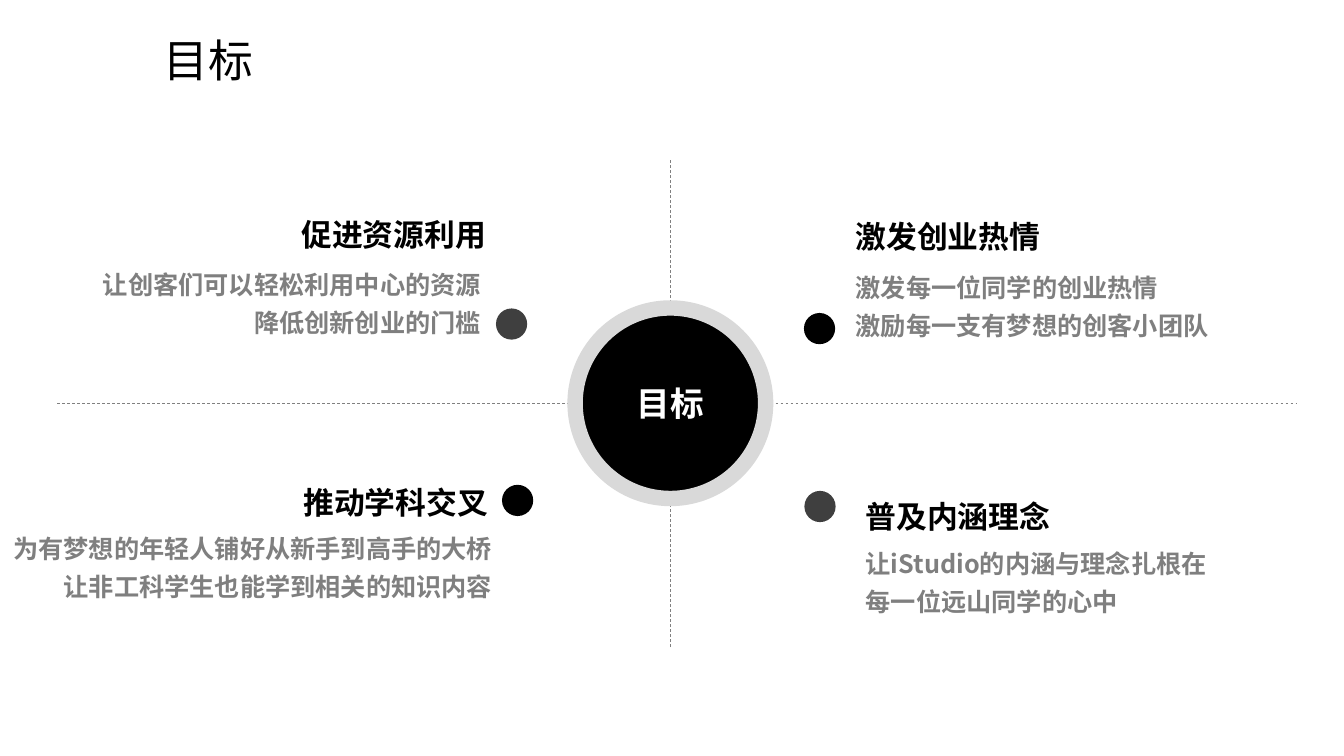
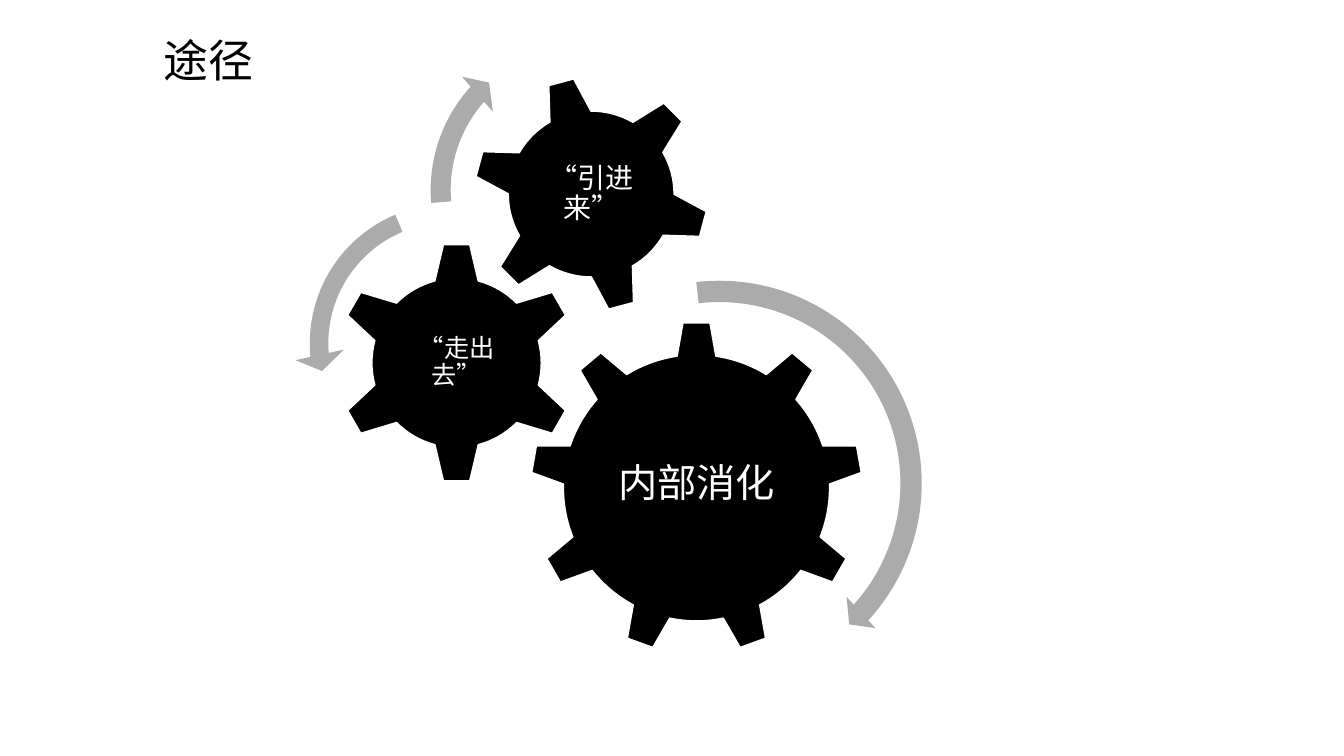
"""Build two slides: a goal map in four quadrants and a set of turning gears."""
from lxml import etree
from pptx import Presentation
from pptx import util as u
from pptx.dml.color import RGBColor
from pptx.enum import dml, lang, shapes, text
from pptx.oxml import ns

BLACK = RGBColor(0x00, 0x00, 0x00)
CHARCOAL = RGBColor(0x3F, 0x3F, 0x3F)
BODY_GREY = RGBColor(0x7F, 0x7F, 0x7F)
LINE_GREY = RGBColor(0x80, 0x80, 0x80)
ARROW_GREY = RGBColor(0xAB, 0xAB, 0xAB)
RING_GREY = RGBColor(0xD9, 0xD9, 0xD9)
WHITE = RGBColor(0xFF, 0xFF, 0xFF)
FONT = "Noto Sans CJK SC"
SHAPE = shapes.MSO_SHAPE
LEFT, CENTER, RIGHT = text.PP_ALIGN.LEFT, text.PP_ALIGN.CENTER, text.PP_ALIGN.RIGHT
TOP, MIDDLE = text.MSO_ANCHOR.TOP, text.MSO_ANCHOR.MIDDLE


def cells(*counts):
    """Turn counts of grid cells, ten to the inch, into lengths."""
    return [u.Inches(count / 10) for count in counts]


class Deck:
    """Hold the shared style and the slide being built."""

    def __init__(self):
        """Start a wide presentation."""
        self.prs = Presentation()
        self.prs.slide_width, self.prs.slide_height = cells(133.33, 75)
        self.slide = None

    def new_slide(self, title):
        """Add a slide with its title."""
        self.slide = self.prs.slides.add_slide(self.prs.slide_layouts[5])
        heading = self.slide.shapes.title
        heading.left, heading.top, heading.width, heading.height = cells(15.2, 2.7, 77.8, 6.4)
        self.fill_text(heading.text_frame, [title], 32, BLACK, anchor=MIDDLE)

    def fill_text(self, frame, lines, size, color, bold=False, align=LEFT,
                  anchor=TOP, spacing=None, wrap=True):
        """Fill a text frame with equally styled paragraphs."""
        frame.text = "\n".join(lines)
        frame.word_wrap = wrap
        frame.auto_size = text.MSO_AUTO_SIZE.NONE
        frame.vertical_anchor = anchor
        for paragraph in frame.paragraphs:
            paragraph.alignment = align
            paragraph.line_spacing = spacing
            font = paragraph.font
            font.size, font.bold, font.name = u.Pt(size), bold, FONT
            font.color.rgb = color
            font.language_id = lang.MSO_LANGUAGE_ID.SIMPLIFIED_CHINESE
            defaults = paragraph._p.pPr.find(ns.qn("a:defRPr"))
            etree.SubElement(defaults, ns.qn("a:ea"), typeface=FONT)

    def label(self, box, lines, size, color, inset=None, **style):
        """Add a text box."""
        frame = self.slide.shapes.add_textbox(*cells(*box)).text_frame
        if inset is not None:
            frame.margin_left = frame.margin_right = u.Inches(inset)
            frame.margin_top = frame.margin_bottom = u.Inches(inset)
        self.fill_text(frame, lines, size, color, **style)

    def round_shape(self, kind, x, y, size, fill, outline=None, weight=0):
        """Add a square-framed shape around a centre."""
        shape = self.slide.shapes.add_shape(
            kind, *cells(x - size / 2, y - size / 2, size, size))
        shape.shadow.inherit = False
        shape.fill.solid()
        shape.fill.fore_color.rgb = fill
        if outline is None:
            shape.line.fill.background()
        else:
            shape.line.color.rgb = outline
            shape.line.width = u.Pt(weight)
        return shape

    def dashed_line(self, *ends):
        """Add a thin dashed line."""
        line = self.slide.shapes.add_connector(shapes.MSO_CONNECTOR.STRAIGHT, *cells(*ends))
        line.line.color.rgb = LINE_GREY
        line.line.width = u.Pt(0.5)
        line.line.dash_style = dml.MSO_LINE.DASH
        etree.SubElement(line._element.spPr, ns.qn("a:effectLst"))

    def quadrant(self, heading_box, heading, body_box, body, align, dot, color):
        """Add a heading, its explanation and its dot."""
        style = dict(bold=True, align=align, spacing=1.25)
        self.label((*heading_box, 5.2), [heading], 22, BLACK, **style)
        self.label((*body_box, 8.2), body, 18, BODY_GREY, **style)
        self.round_shape(SHAPE.OVAL, *dot, 3.1, color)

    def gear(self, kind, x, y, size, turn, caption, points, caption_y, caption_size):
        """Add a gear with an upright caption."""
        wheel = self.round_shape(kind, x, y, size, BLACK, WHITE, 1)
        wheel.rotation = turn
        box = (x - caption_size / 2, caption_y - caption_size / 2, caption_size, caption_size)
        self.label(box, [caption], points, WHITE, inset=0.03,
                   align=CENTER, anchor=MIDDLE, spacing=0.9)

    def turning_arrow(self, kind, x, y, size, adjustments):
        """Add a curved arrow showing a direction of turn."""
        arrow = self.round_shape(kind, x, y, size, ARROW_GREY)
        for index, value in enumerate(adjustments):
            arrow.adjustments[index] = value


def goals(deck):
    """Draw the goal map."""
    deck.new_slide("目标")
    x, y, radius = 66.5, 40, 9.45
    for ends in ((x + radius, y, 128.6, y), (5.7, y, x - radius, y),
                 (x, y - radius, x, 15.8), (x, 64.2, x, y + radius)):
        deck.dashed_line(*ends)
    hub = deck.round_shape(SHAPE.OVAL, x, y, 2 * radius, BLACK, RING_GREY, 11)
    deck.fill_text(hub.text_frame, ["目标"], 24, WHITE, bold=True, align=CENTER,
                   anchor=MIDDLE, wrap=False)
    quadrants = (
        ((23.6, 20, 25.6), "促进资源利用", (0, 25.5, 48.7),
         ["让创客们可以轻松利用中心的资源", "降低创新创业的门槛"],
         RIGHT, (50.75, 32.15), CHARCOAL),
        ((83.9, 20.2, 25.6), "激发创业热情", (83.9, 25.8, 45),
         ["激发每一位同学的创业热情", "激励每一支有梦想的创客小团队"],
         LEFT, (81.3, 32.6), BLACK),
        ((23.8, 46.6, 25.6), "推动学科交叉", (0, 51.7, 49.8),
         ["为有梦想的年轻人铺好从新手到高手的大桥", "让非工科学生也能学到相关的知识内容"],
         RIGHT, (51.35, 49.65), BLACK),
        ((84.9, 48, 25.6), "普及内涵理念", (84.9, 53.2, 36.2),
         ["让iStudio的内涵与理念扎根在每一位远山同学的心中"],
         LEFT, (81.35, 50.25), CHARCOAL),
    )
    for quadrant in quadrants:
        deck.quadrant(*quadrant)


def approaches(deck):
    """Draw the gears and their directions."""
    deck.new_slide("途径")
    gears = (
        (SHAPE.GEAR_9, 69.1, 48.4, 33, 0, "内部消化", 28, 48.1, 19.7),
        (SHAPE.GEAR_6, 45.3, 36, 24, 0, "“走出去”", 18, 36, 11.9),
        (SHAPE.GEAR_6, 58.65, 19.25, 23.5, 345, "“引进来”", 20, 19.3, 13.2),
    )
    arrows = (
        (SHAPE.CIRCULAR_ARROW, 71.35, 47.95, 42.3, (0.05, 2.99, 25.4, 158.1, 0.05)),
        (SHAPE.LEFT_CIRCULAR_ARROW, 44.55, 34.05, 30.7, (0.06, 4.3, 104.89, 148.38, 0.08)),
        (SHAPE.CIRCULAR_ARROW, 57.95, 18.85, 33.1, (0.06, 3.94, 133.14, 105.08, 0.07)),
    )
    for gear in gears:
        deck.gear(*gear)
    for arrow in arrows:
        deck.turning_arrow(*arrow)


def main():
    """Build and save the slides."""
    deck = Deck()
    goals(deck)
    approaches(deck)
    deck.prs.save("out.pptx")


if __name__ == "__main__":
    main()
